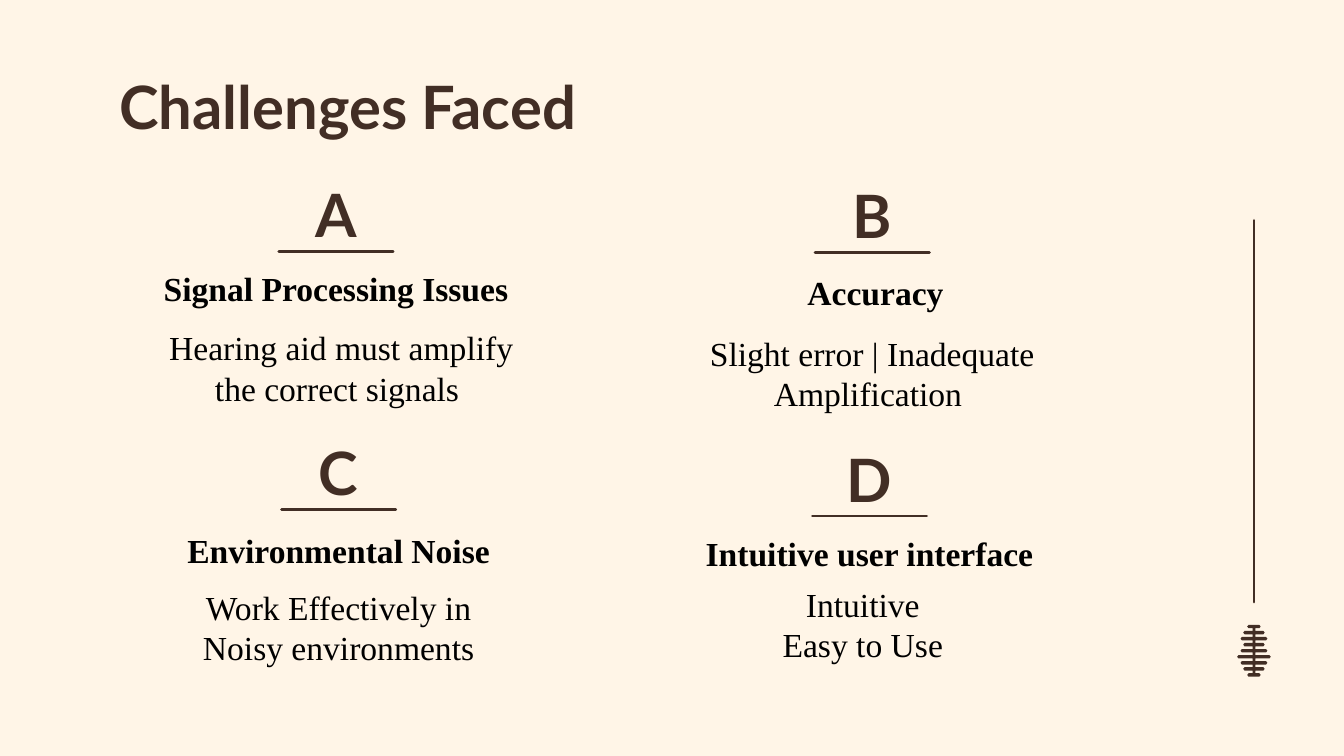
from dataclasses import dataclass

from pptx import Presentation
from pptx.dml.color import RGBColor
from pptx.enum import shapes, text
from pptx.oxml.ns import qn
from pptx.util import Inches, Pt

CREAM = RGBColor(0xFF, 0xF5, 0xE7)
BROWN = RGBColor(0x42, 0x2E, 0x25)
BLACK = RGBColor(0, 0, 0)
DISPLAY, BODY = "Lato", "Times New Roman"


@dataclass
class Challenge:
    letter: str
    heading: str
    lines: list
    center: float
    top: float
    heading_width: float
    heading_drop: float
    body_width: float
    body_drop: float
    body_shift: float = 0


CHALLENGES = [
    Challenge("A", "Signal Processing Issues",
              ["Hearing aid must amplify the correct signals "],
              2.5, 1.3, 3.01, 0.64, 2.92, 1.11, 0.04),
    Challenge("B", " Accuracy",
              ["Slight error | Inadequate Amplification "],
              6.49, 1.31, 2.28, 0.66, 2.73, 1.14),
    Challenge("C", "Environmental Noise",
              ["Work Effectively in Noisy environments"],
              2.52, 3.22, 2.62, 0.67, 2.28, 1.12),
    Challenge("D", "Intuitive user interface",
              ["Intuitive", "Easy to Use"],
              6.47, 3.27, 2.81, 0.64, 2.28, 1.05, -0.05),
]


def add_text(slide, box, lines, font, size, color, bold=False,
             align=text.PP_ALIGN.CENTER, anchor=text.MSO_ANCHOR.MIDDLE):
    frame = slide.shapes.add_textbox(*map(Inches, box)).text_frame
    frame.word_wrap = True
    frame.vertical_anchor = anchor
    frame.margin_left = frame.margin_right = Inches(0.1)
    frame.margin_top = frame.margin_bottom = Inches(0.1)
    for index, line in enumerate(lines):
        paragraph = frame.add_paragraph() if index else frame.paragraphs[0]
        paragraph.alignment = align
        run = paragraph.add_run()
        run.text = line
        run.font.name = font
        run.font.size = Pt(size)
        run.font.bold = bold
        run.font.color.rgb = color


def add_rule(slide, x1, y1, x2, y2):
    rule = slide.shapes.add_connector(
        shapes.MSO_CONNECTOR.STRAIGHT, *map(Inches, (x1, y1, x2, y2)))
    rule.line.color.rgb = BROWN
    rule.line.width = Pt(1.5)
    properties = rule._element.spPr
    properties.get_or_add_ln().set("cap", "rnd")
    properties.append(properties.makeelement(qn("a:effectLst"), {}))


def add_challenge(slide, item):
    def centered(width, drop, height, shift=0):
        return item.center + shift - width / 2, item.top + drop, width, height

    add_text(slide, centered(0.98, 0, 0.58), [item.letter], DISPLAY, 32, BROWN, bold=True)
    left, y, width, _ = centered(0.85, 0.57, 0)
    add_rule(slide, left, y, left + width, y)
    add_text(slide, centered(item.heading_width, item.heading_drop, 0.41),
             [item.heading], BODY, 18, BLACK, bold=True)
    add_text(slide, centered(item.body_width, item.body_drop, 0.65, item.body_shift),
             item.lines, BODY, 18, BLACK)


def add_barred_ornament(slide, center, top):
    """Draw a stem crossed by round-ended bars as one outline."""
    half_widths = [0.05, 0.08, 0.1, 0.08, 0.1, 0.125, 0.1, 0.08, 0.05]
    pitch, half_bar, half_stem = 0.045, 0.0125, 0.01
    right = []
    for index, reach in enumerate(half_widths):
        y = top + half_bar + index * pitch
        right += [(half_stem, y - half_bar), (reach - 0.01, y - half_bar), (reach, y),
                  (reach - 0.01, y + half_bar), (half_stem, y + half_bar)]
    outline = right + [(-x, y) for x, y in reversed(right)]
    points = [(Inches(center + x), Inches(y)) for x, y in outline]
    builder = slide.shapes.build_freeform(*points[0])
    builder.add_line_segments(points[1:], close=True)
    ornament = builder.convert_to_shape()
    ornament.fill.solid()
    ornament.fill.fore_color.rgb = BROWN
    ornament.line.fill.background()
    ornament.shadow.inherit = False


def add_side_decoration(slide, x, top, height):
    add_rule(slide, x, top, x, top + height)
    add_barred_ornament(slide, x, top + height + 0.17)


def main():
    deck = Presentation()
    deck.slide_width = Inches(10)
    deck.slide_height = deck.slide_width * 9 // 16
    slide = deck.slides.add_slide(deck.slide_layouts[6])
    slide.background.fill.solid()
    slide.background.fill.fore_color.rgb = CREAM

    add_side_decoration(slide, 9.33, 1.64, 2.84)
    add_text(slide, (0.79, 0.42, 8.13, 0.65), ["Challenges Faced"], DISPLAY, 32, BROWN,
             bold=True, align=text.PP_ALIGN.LEFT, anchor=text.MSO_ANCHOR.TOP)
    for item in CHALLENGES:
        add_challenge(slide, item)
    deck.save("out.pptx")


if __name__ == "__main__":
    main()
